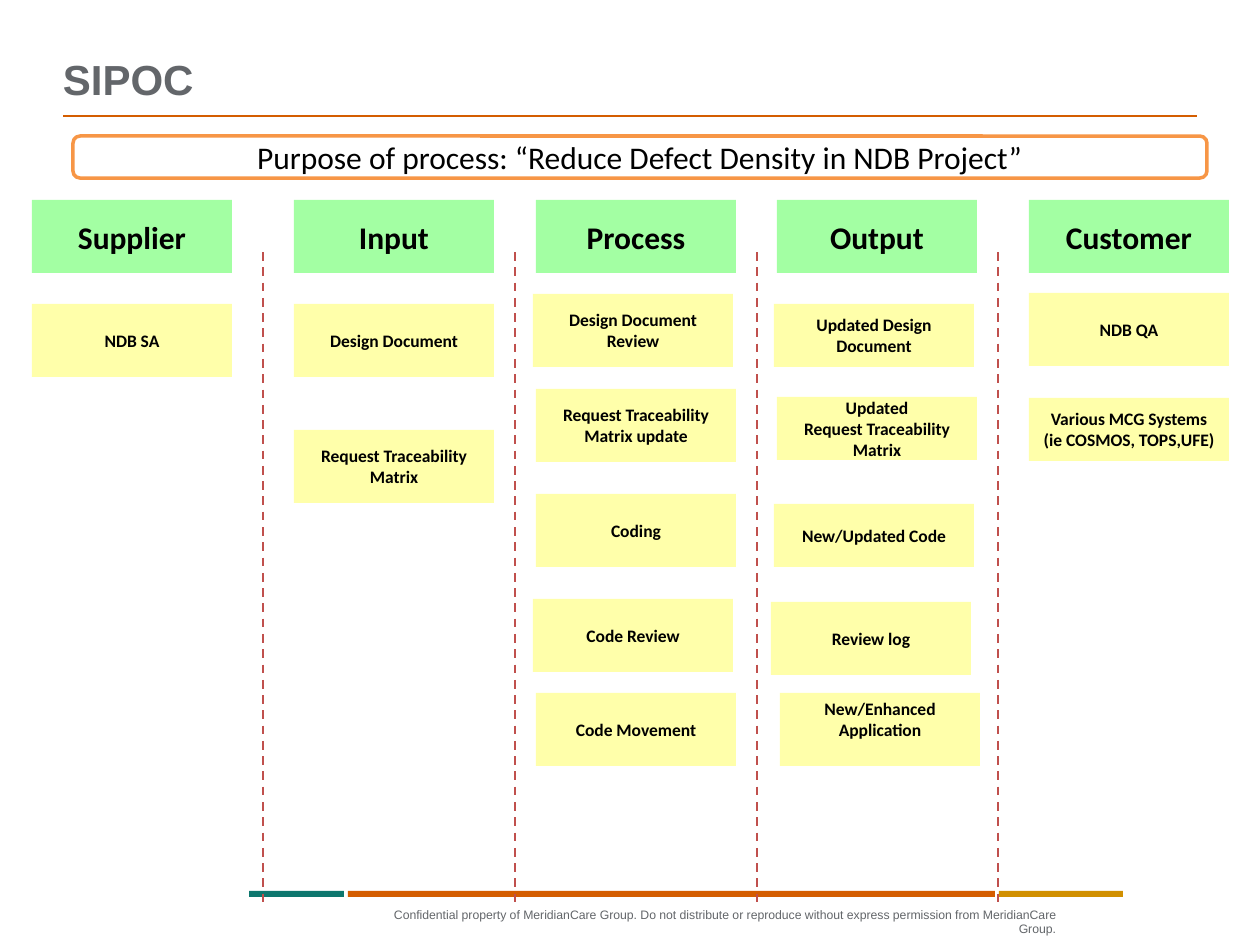
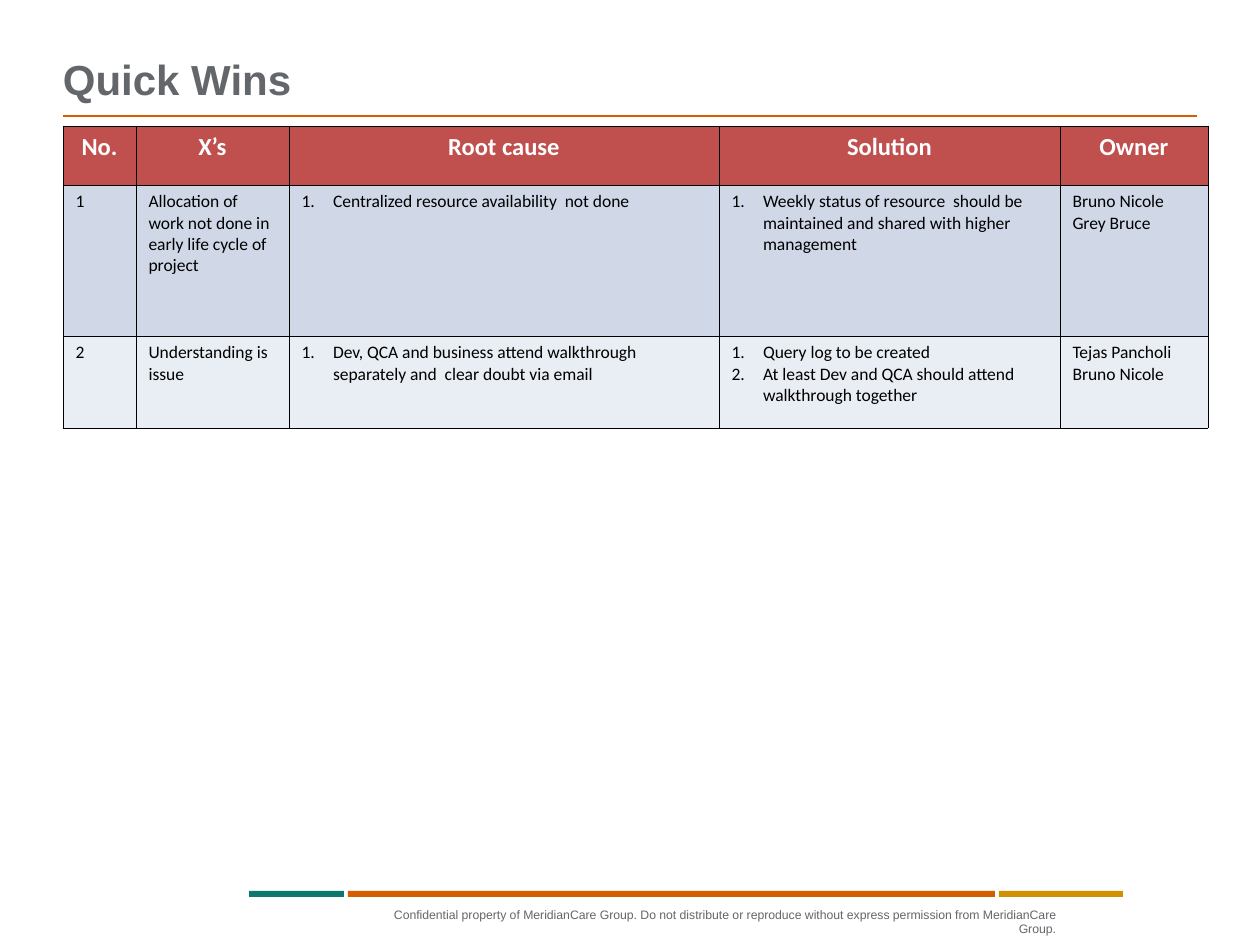
import lxml.etree
import pptx
import pptx.dml.color
import pptx.enum.dml
import pptx.enum.shapes
import pptx.enum.text
import pptx.oxml.ns
import pptx.util

RGBColor = pptx.dml.color.RGBColor
Align = pptx.enum.text.PP_ALIGN
Anchor = pptx.enum.text.MSO_ANCHOR
Shape = pptx.enum.shapes.MSO_SHAPE

GREY = RGBColor(0x63, 0x66, 0x6A)
ORANGE = RGBColor(0xD4, 0x5D, 0x00)
TEAL = RGBColor(0x0D, 0x77, 0x6E)
GOLD = RGBColor(0xD1, 0x90, 0x00)
RED = RGBColor(0xC0, 0x50, 0x4D)
LIGHT_ORANGE = RGBColor(0xF7, 0x96, 0x46)
GREEN = RGBColor(0x00, 0xFF, 0x00)
YELLOW = RGBColor(0xFF, 0xFF, 0x99)
BLUE_BAND = RGBColor(0xD0, 0xD8, 0xE8)
PALE_BAND = RGBColor(0xE9, 0xED, 0xF4)
BLACK = RGBColor(0x00, 0x00, 0x00)
WHITE = RGBColor(0xFF, 0xFF, 0xFF)

PX_PER_INCH = 126
HEADING_FONT = "Arial"
BODY_FONT = "Calibri"

FOOTER = ("Confidential property of MeridianCare Group. Do not distribute or "
          "reproduce without express permission from MeridianCare Group.")
FOOTER_BANDS = [(249, 95, TEAL), (348, 647, ORANGE), (999, 124, GOLD)]

CARD_WIDTH, CARD_HEIGHT, LOW_CARD_HEIGHT = 200, 73, 63
NOTE_LINE_HEIGHT = 21
# Column name, left, then notes as (text, left shift, top, height)
SIPOC_COLUMNS = [
    ("Supplier", 0, [("NDB SA", 0, 104, CARD_HEIGHT)]),
    ("Input", 262, [
        ("Design Document", 0, 104, CARD_HEIGHT),
        ("Request Traceability\nMatrix", 0, 230, CARD_HEIGHT)]),
    ("Process", 504, [
        ("Design Document\nReview", -3, 94, CARD_HEIGHT),
        ("Request Traceability\nMatrix update", 0, 189, CARD_HEIGHT),
        ("Coding", 0, 294, CARD_HEIGHT),
        ("Code Review", -3, 399, CARD_HEIGHT),
        ("Code Movement", 0, 493, CARD_HEIGHT)]),
    ("Output", 745, [
        ("Updated Design\nDocument", -3, 104, LOW_CARD_HEIGHT),
        ("Updated\nRequest Traceability\nMatrix", 0, 197, LOW_CARD_HEIGHT),
        ("New/Updated Code", -3, 304, LOW_CARD_HEIGHT),
        ("Review log", -6, 402, CARD_HEIGHT),
        ("New/Enhanced\nApplication", 3, 493, CARD_HEIGHT)]),
    ("Customer", 997, [
        ("NDB QA", 0, 93, CARD_HEIGHT),
        ("Various MCG Systems\n(ie COSMOS, TOPS,UFE)", 0, 198, LOW_CARD_HEIGHT)]),
]
RAISED_NOTE = "New/Enhanced\nApplication"
DIVIDER_LEFTS = [231, 483, 725, 966]

COLUMN_WIDTHS = [73, 153, 430, 341, 148]
ROW_HEIGHTS = [59, 151, 92]
ROW_FILLS = [RED, BLUE_BAND, PALE_BAND]
NUMBERED_COLUMNS = (2, 3)
QUICK_WINS = [
    ["No.", "X’s", "Root cause", "Solution", "Owner"],
    ["1", "Allocation of work not done in early life cycle of project",
     "Centralized resource availability  not done",
     "Weekly status of resource  should be maintained and shared with higher management",
     "Bruno Nicole\nGrey Bruce"],
    ["2", "Understanding is issue",
     "Dev, QCA and business attend walkthrough separately and  clear doubt via email",
     "Query log to be created\nAt least Dev and QCA should attend walkthrough together",
     "Tejas Pancholi\nBruno Nicole"],
]


def px(length):
    return pptx.util.Emu(round(length * 914400 / PX_PER_INCH))


def add_child(parent, tag, **attributes):
    child = lxml.etree.SubElement(parent, pptx.oxml.ns.qn(tag))
    for name, value in attributes.items():
        child.set(name, str(value))
    return child


def format_paragraph(paragraph, size, color, bold=False, align=Align.LEFT, font=BODY_FONT):
    paragraph.alignment = align
    for run in paragraph.runs:
        run.font.name = font
        run.font.size = pptx.util.Pt(size)
        run.font.bold = bold
        run.font.color.rgb = color


def add_label(slide, box, text, size, bold=False, align=Align.LEFT, anchor=Anchor.TOP,
              wrap=True):
    """Add heading-font text without margins and return its paragraph."""
    frame = slide.shapes.add_textbox(*map(px, box)).text_frame
    frame.margin_left = frame.margin_top = frame.margin_right = frame.margin_bottom = 0
    frame.word_wrap = wrap
    frame.vertical_anchor = anchor
    paragraph = frame.paragraphs[0]
    paragraph.text = text
    format_paragraph(paragraph, size, GREY, bold, align, HEADING_FONT)
    return paragraph


def add_block(slide, box, fill, opacity=100, kind=Shape.RECTANGLE):
    block = slide.shapes.add_shape(kind, *map(px, box))
    block.shadow.inherit = False
    block.fill.solid()
    block.fill.fore_color.rgb = fill
    block.line.fill.background()
    if opacity < 100:
        color = block.fill._xPr.find(".//" + pptx.oxml.ns.qn("a:srgbClr"))
        add_child(color, "a:alpha", val=opacity * 1000)
    return block


def write_centred(block, text, size, bold, wrap=False):
    frame = block.text_frame
    frame.word_wrap = wrap
    frame.vertical_anchor = Anchor.MIDDLE
    paragraph = frame.paragraphs[0]
    paragraph.text = text
    format_paragraph(paragraph, size, BLACK, bold, Align.CENTER)


def add_line(slide, start, end, color, width):
    line = slide.shapes.add_connector(
        pptx.enum.shapes.MSO_CONNECTOR.STRAIGHT, *map(px, (*start, *end)))
    add_child(line._element.spPr, "a:effectLst")
    line.line.color.rgb = color
    line.line.width = pptx.util.Pt(width)
    return line


def add_framed_slide(presentation, title):
    """Add a blank slide with the shared title, rule, bands and footer."""
    slide = presentation.slides.add_slide(presentation.slide_layouts[6])
    add_label(slide, (358, 907, 698, 15), FOOTER, 7, align=Align.RIGHT, wrap=False)
    add_line(slide, (63, 116), (1197, 116), ORANGE, 1)
    for left, width, color in FOOTER_BANDS:
        add_block(slide, (left, 891, width, 6), color)
    heading = add_label(slide, (63, 21, 1134, 84), title, 24, bold=True,
                        anchor=Anchor.BOTTOM)
    heading.line_spacing = 0.9
    return slide


def add_purpose(slide, box):
    banner = add_block(slide, box, WHITE, kind=Shape.ROUNDED_RECTANGLE)
    banner.adjustments[0] = 0.17
    banner.line.color.rgb = LIGHT_ORANGE
    banner.line.width = pptx.util.Pt(2)
    write_centred(banner, "Purpose of process: “Reduce Defect Density in NDB Project”",
                  18, False, wrap=True)


def add_sipoc_board(slide, left, top):
    for divider in DIVIDER_LEFTS:
        line = add_line(slide, (left + divider, top + 52), (left + divider, top + 703),
                        RED, 1.25)
        line.line.dash_style = pptx.enum.dml.MSO_LINE.DASH
    for name, column, notes in SIPOC_COLUMNS:
        header = add_block(slide, (left + column, top, CARD_WIDTH, CARD_HEIGHT), GREEN, 36)
        write_centred(header, name, 18, True)
        for text, shift, note_top, height in notes:
            box = (left + column + shift, top + note_top, CARD_WIDTH, height)
            note = add_block(slide, box, YELLOW, 83)
            write_centred(note, text, 10, True)
            if text == RAISED_NOTE:
                note.text_frame.margin_bottom += px(NOTE_LINE_HEIGHT)


def number_paragraph(paragraph):
    properties = paragraph._p.get_or_add_pPr()
    properties.set("marL", "228600")
    properties.set("indent", "-228600")
    add_child(add_child(properties, "a:buClr"), "a:srgbClr", val=BLACK)
    add_child(properties, "a:buFont", typeface="+mj-lt")
    add_child(properties, "a:buAutoNum", type="arabicPeriod")


def style_cell(cell, fill):
    """Draw thin black borders, then the fill, in the order the schema asks for."""
    properties = cell._tc.get_or_add_tcPr()
    for side in ("a:lnL", "a:lnR", "a:lnT", "a:lnB"):
        border = add_child(properties, side, w=pptx.util.Pt(0.45))
        add_child(add_child(border, "a:solidFill"), "a:srgbClr", val=BLACK)
    cell.fill.solid()
    cell.fill.fore_color.rgb = fill


def add_quick_wins_table(slide, left, top):
    box = (left, top, sum(COLUMN_WIDTHS), sum(ROW_HEIGHTS))
    table = slide.shapes.add_table(len(ROW_HEIGHTS), len(COLUMN_WIDTHS),
                                   *map(px, box)).table
    table.first_row = table.horz_banding = False
    for column, width in zip(table.columns, COLUMN_WIDTHS):
        column.width = px(width)
    for row_index, texts in enumerate(QUICK_WINS):
        table.rows[row_index].height = px(ROW_HEIGHTS[row_index])
        for column_index, text in enumerate(texts):
            cell = table.cell(row_index, column_index)
            style_cell(cell, ROW_FILLS[row_index])
            cell.text_frame.text = text
            for paragraph in cell.text_frame.paragraphs:
                if row_index == 0:
                    format_paragraph(paragraph, 14, WHITE, True, Align.CENTER)
                    continue
                if column_index in NUMBERED_COLUMNS:
                    number_paragraph(paragraph)
                format_paragraph(paragraph, 10, BLACK)


def main():
    presentation = pptx.Presentation()
    presentation.slide_width, presentation.slide_height = px(1260), px(945)

    sipoc = add_framed_slide(presentation, "SIPOC")
    add_sipoc_board(sipoc, 32, 200)
    add_purpose(sipoc, (73, 136, 1134, 42))

    quick_wins = add_framed_slide(presentation, "Quick Wins")
    add_quick_wins_table(quick_wins, 63, 126)

    presentation.save("out.pptx")


if __name__ == "__main__":
    main()
